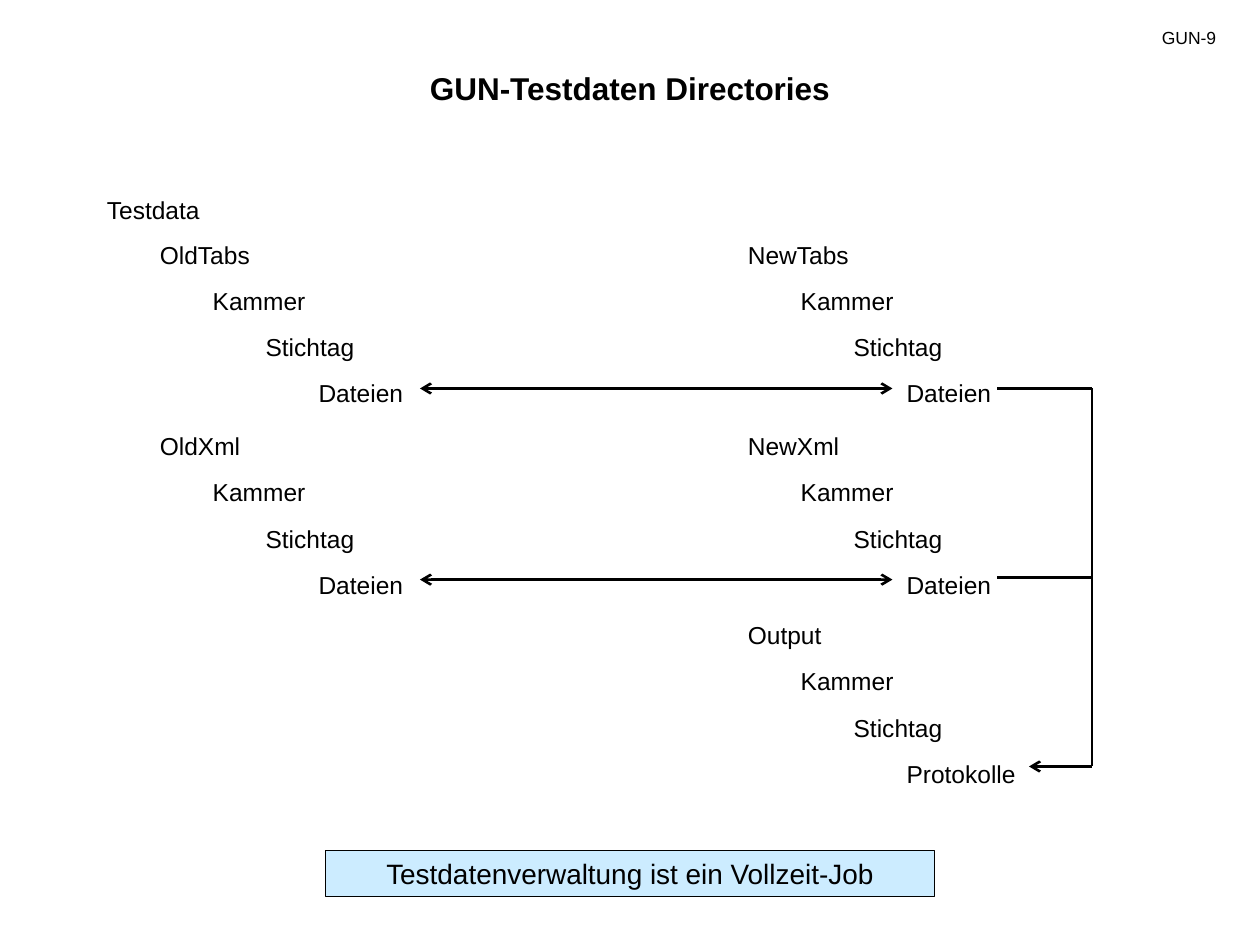
from dataclasses import dataclass
from lxml.etree import SubElement
from pptx import Presentation
from pptx.dml.color import RGBColor
from pptx.enum.shapes import MSO_CONNECTOR, MSO_SHAPE
from pptx.enum.text import MSO_ANCHOR, PP_ALIGN
from pptx.oxml.ns import qn
from pptx.util import Inches, Pt


@dataclass(frozen=True)
class Theme:
    face: str = "Arial"
    ink: RGBColor = RGBColor(0, 0, 0)
    fill: RGBColor = RGBColor(0xCC, 0xEC, 0xFF)
    head: int = 18
    note: int = 16
    body: int = 14
    page: int = 10
    gap: float = 9.5
    step: float = 5.04
    thick: float = 1.5
    thin: float = 0.75


def assign(item, values):
    for name, value in values.items():
        setattr(item, name, value)


class Board:
    def __init__(self, deck, theme, cols=120, rows=90):
        self.theme = theme
        self.slide = deck.slides.add_slide(deck.slide_layouts[6])
        self.col = deck.slide_width / cols
        self.row = deck.slide_height / rows

    def place(self, x, y, w, h):
        return [round(v * u) for v, u in zip((x, y, w, h), (self.col, self.row) * 2)]

    def label(self, para, text, size, **more):
        para.text = text
        assign(para.font, {"name": self.theme.face, "size": Pt(size), **more})
        para.font.color.rgb = self.theme.ink

    def text(self, area, text, size, align, **more):
        frame = self.slide.shapes.add_textbox(*self.place(*area)).text_frame
        frame.word_wrap = True
        para = frame.paragraphs[0]
        para.alignment = align
        self.label(para, text, size, **more)

    def tree(self, area, names, level):
        frame = self.slide.shapes.add_textbox(*self.place(*area)).text_frame
        frame.word_wrap = True
        for i, name in enumerate(names):
            para = frame.paragraphs[0] if i == 0 else frame.add_paragraph()
            props = para._p.get_or_add_pPr()
            props.set("marL", str(round((level + i) * self.theme.step * self.col)))
            props.set("indent", "0")
            if i:
                para.space_before = Pt(self.theme.gap)
            self.label(para, name, self.theme.body)

    def line(self, start, end, *tips):
        ends = self.place(*start, *end)
        link = self.slide.shapes.add_connector(MSO_CONNECTOR.STRAIGHT, *ends)
        link.line.color.rgb = self.theme.ink
        link.line.width = Pt(self.theme.thick)
        for tip in tips:
            SubElement(link.line._get_or_add_ln(), qn(f"a:{tip}")).set("type", "arrow")
        SubElement(link._element.spPr, qn("a:effectLst"))

    def box(self, area, text):
        shape = self.slide.shapes.add_shape(MSO_SHAPE.RECTANGLE, *self.place(*area))
        shape.shadow.inherit = False
        shape.fill.solid()
        shape.fill.fore_color.rgb = self.theme.fill
        shape.line.color.rgb = self.theme.ink
        shape.line.width = Pt(self.theme.thin)
        frame = shape.text_frame
        assign(frame, {"word_wrap": True, "vertical_anchor": MSO_ANCHOR.MIDDLE})
        para = frame.paragraphs[0]
        para.alignment = PP_ALIGN.CENTER
        self.label(para, text, self.theme.note)


def main():
    deck = Presentation()
    assign(deck, {"slide_width": Inches(10), "slide_height": Inches(7.5)})
    theme = Theme()
    board = Board(deck, theme)

    board.text((24, 6, 72, 5), "GUN-Testdaten Directories", theme.head,
               PP_ALIGN.CENTER, bold=True)
    board.text((107, 2, 10, 3.2), "GUN-9", theme.page, PP_ALIGN.RIGHT)

    left, right = (9, 36), (65, 40)
    chain = ["Kammer", "Stichtag"]
    board.tree((9, 18, 36, 4), ["Testdata"], 0)
    for (x, wide), y, root, leaf in (
        (left, 22.3, "OldTabs", "Dateien"),
        (right, 22.3, "NewTabs", "Dateien"),
        (left, 40.5, "OldXml", "Dateien"),
        (right, 40.5, "NewXml", "Dateien"),
        (right, 58.5, "Output", "Protokolle"),
    ):
        board.tree((x, y, wide, 17), [root, *chain, leaf], 1)

    for y in (37, 55.2):
        board.line((40, y), (85, y), "headEnd", "tailEnd")
    for y in (37, 55):
        board.line((95, y), (104, y))
    board.line((98, 73), (104, 73), "headEnd")
    board.line((104, 37), (104, 73))

    board.box((31, 81, 58, 4.4), "Testdatenverwaltung ist ein Vollzeit-Job")
    deck.save("out.pptx")


if __name__ == "__main__":
    main()
